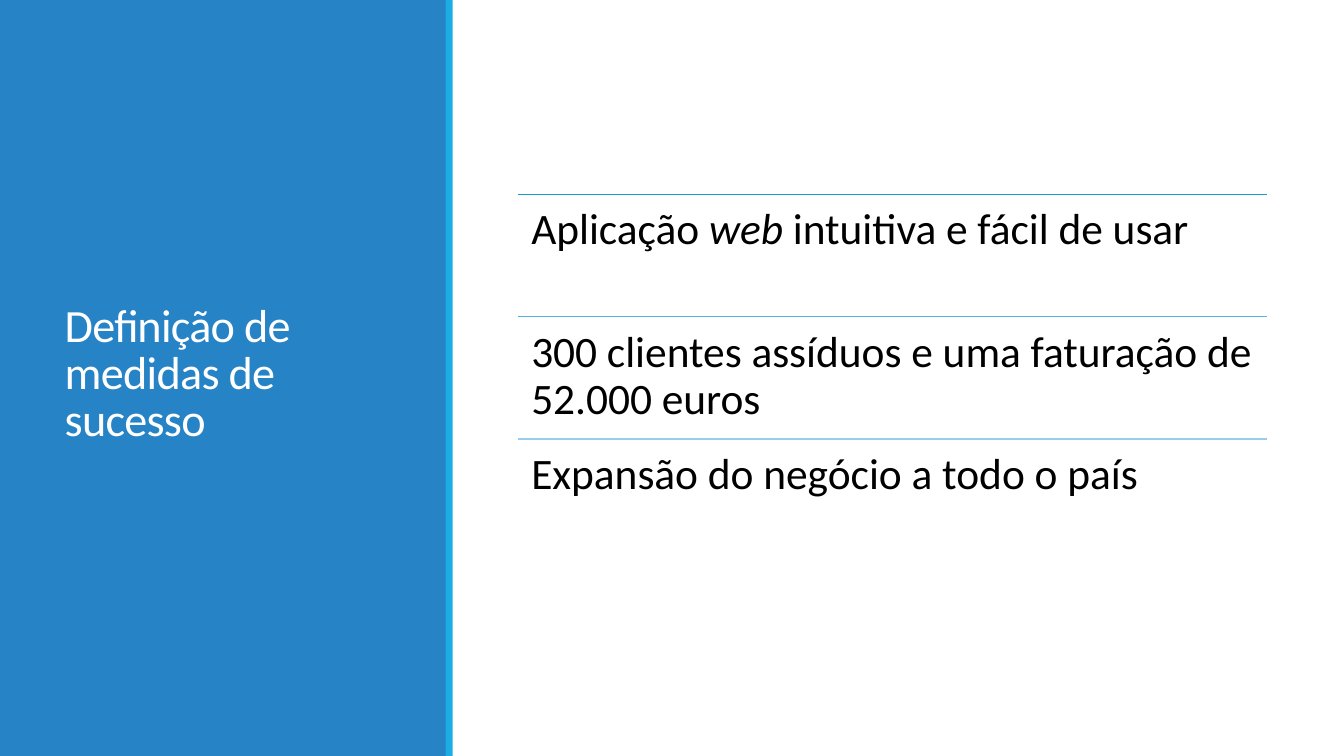
from lxml.etree import SubElement
from pptx import Presentation
from pptx.dml.color import RGBColor
from pptx.enum.shapes import MSO_CONNECTOR, MSO_SHAPE
from pptx.enum.text import MSO_ANCHOR, MSO_AUTO_SIZE, PP_ALIGN
from pptx.oxml.ns import qn
from pptx.util import Pt

WHITE = RGBColor(0xFF, 0xFF, 0xFF)
BLACK = RGBColor(0x00, 0x00, 0x00)
PANEL_BLUE = RGBColor(0x26, 0x83, 0xC6)
ACCENT_BLUE = RGBColor(0x1C, 0xAD, 0xE4)

FONT_NAME = "Calibri"
SLIDE_WIDTH, SLIDE_HEIGHT = 960, 540
MEASURES_LEFT, MEASURES_TOP, MEASURES_WIDTH = 370.2, 138.8, 535
MEASURE_HEIGHT = 87.4
MEASURE_INSET = 9.3

MEASURES = [
    (RGBColor(0x19, 0x9D, 0xCF),
     [("Aplicação ", False), ("web", True), (" intuitiva e fácil de usar", False)]),
    (RGBColor(0x52, 0xB3, 0xE5),
     [("300 clientes assíduos e uma faturação de 52.000 euros", False)]),
    (RGBColor(0x99, 0xCB, 0xEC),
     [("Expansão do negócio a todo o país", False)]),
]


def add_run(paragraph, text, size, color, italic=False):
    run = paragraph.add_run()
    run.text = text
    run.font.name = FONT_NAME
    run.font.size = Pt(size)
    run.font.color.rgb = color
    run.font.italic = italic
    return run


def add_band(slide, left, width, color):
    band = slide.shapes.add_shape(
        MSO_SHAPE.RECTANGLE, Pt(left), Pt(0), Pt(width), Pt(SLIDE_HEIGHT))
    band.shadow.inherit = False
    band.fill.solid()
    band.fill.fore_color.rgb = color
    band.line.fill.background()


def add_title(slide, text):
    title = slide.shapes.title
    title.left, title.top, title.width, title.height = Pt(39), Pt(41), Pt(242.6), Pt(454.3)
    title.element.getparent().append(title.element)
    frame = title.text_frame
    frame.word_wrap = True
    frame.auto_size = MSO_AUTO_SIZE.NONE
    frame.vertical_anchor = MSO_ANCHOR.MIDDLE
    paragraph = frame.paragraphs[0]
    paragraph.alignment = PP_ALIGN.LEFT
    paragraph.line_spacing = 0.85
    run = add_run(paragraph, text, 33, WHITE)
    run.font._element.set("spc", "-50")


def add_rule(slide, top, color):
    rule = slide.shapes.add_connector(
        MSO_CONNECTOR.STRAIGHT, Pt(MEASURES_LEFT), Pt(top),
        Pt(MEASURES_LEFT + MEASURES_WIDTH), Pt(top))
    rule.line.color.rgb = color
    rule.line.width = Pt(1)
    SubElement(rule.element.spPr, qn("a:effectLst"))


def add_measure(slide, top, pieces):
    box = slide.shapes.add_textbox(
        Pt(MEASURES_LEFT), Pt(top), Pt(MEASURES_WIDTH), Pt(MEASURE_HEIGHT))
    frame = box.text_frame
    frame.word_wrap = True
    frame.vertical_anchor = MSO_ANCHOR.TOP
    frame.margin_left = frame.margin_right = Pt(MEASURE_INSET)
    frame.margin_top = frame.margin_bottom = Pt(MEASURE_INSET)
    paragraph = frame.paragraphs[0]
    paragraph.line_spacing = 0.9
    for text, italic in pieces:
        add_run(paragraph, text, 31, BLACK, italic)


def main():
    presentation = Presentation()
    presentation.slide_width = Pt(SLIDE_WIDTH)
    presentation.slide_height = Pt(SLIDE_HEIGHT)
    slide = presentation.slides.add_slide(presentation.slide_layouts[5])
    slide.background.fill.solid()
    slide.background.fill.fore_color.rgb = WHITE

    add_band(slide, 0, 319, PANEL_BLUE)
    add_band(slide, 318.4, 5, ACCENT_BLUE)
    add_title(slide, "Definição de medidas de sucesso")

    for index, (color, pieces) in enumerate(MEASURES):
        top = MEASURES_TOP + index * MEASURE_HEIGHT
        add_rule(slide, top, color)
        add_measure(slide, top, pieces)

    presentation.save("out.pptx")


main()
